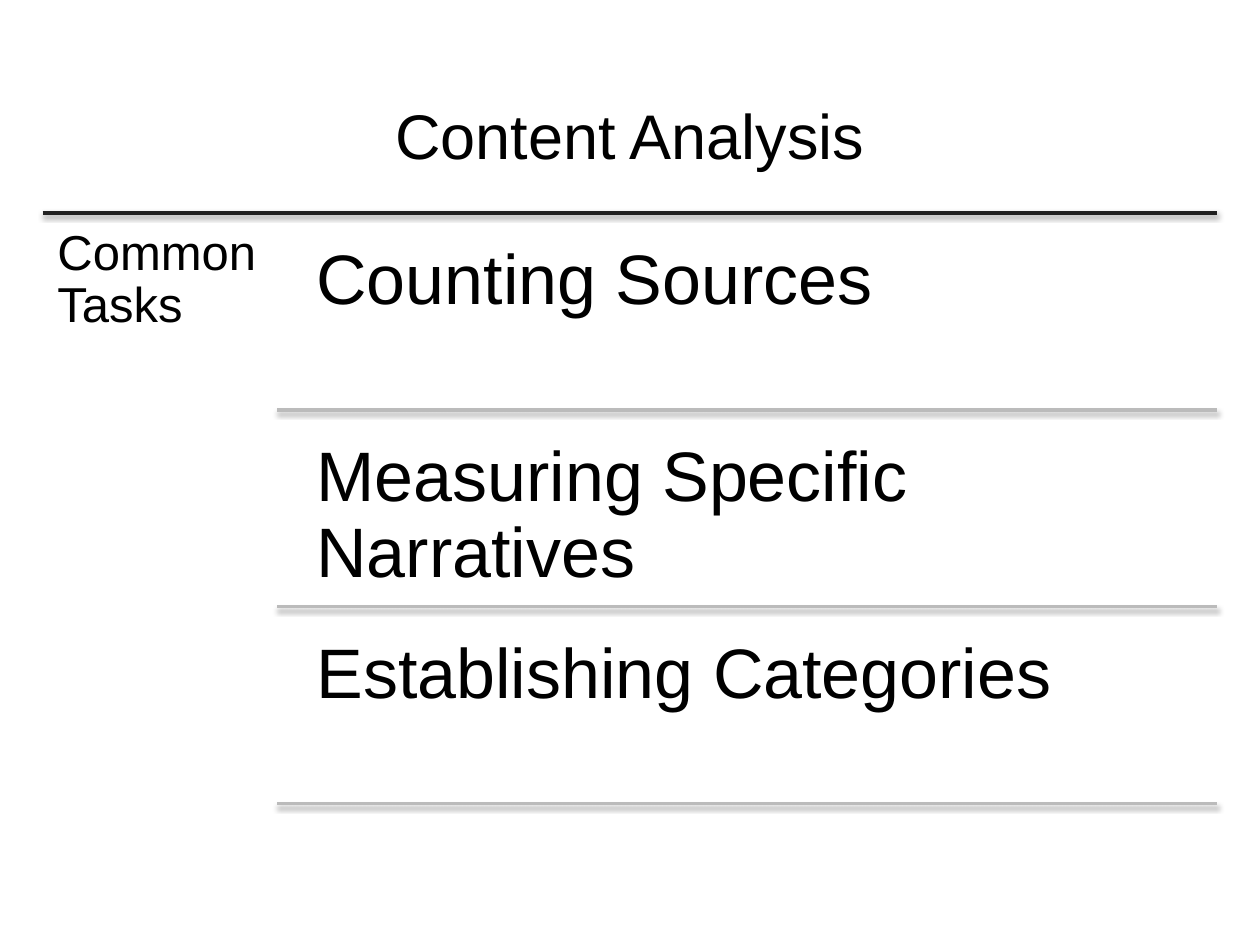
from lxml.etree import SubElement
from pptx import Presentation
from pptx.dml.color import RGBColor
from pptx.enum.shapes import MSO_CONNECTOR
from pptx.enum.text import MSO_ANCHOR, PP_ALIGN
from pptx.oxml.ns import qn
from pptx.util import Cm, Pt

HUES = {"text": "000000", "head": "212121", "rule": "BBBBBB", "shade": "000000"}
LEFT, RIGHT, TOP, STEP = 0.86, 24.54, 4.29, 3.97
SPLIT = 5.59
TASKS = ["Counting Sources", "Measuring Specific Narratives", "Establishing Categories"]

deck = Presentation()
deck.slide_width, deck.slide_height = Cm(25.4), Cm(19.05)
slide = deck.slides.add_slide(deck.slide_layouts[6])


def add_text(text, x, y, w, h, size, inset, lead=0.9):
    frame = slide.shapes.add_textbox(Cm(x), Cm(y), Cm(w), Cm(h)).text_frame
    frame.word_wrap = True
    frame.margin_left = frame.margin_right = Cm(inset)
    frame.margin_top = frame.margin_bottom = Cm(inset)
    para = frame.paragraphs[0]
    para.text = text
    para.line_spacing = lead
    para.font.name = "Arial"
    para.font.size = Pt(size)
    para.font.color.rgb = RGBColor.from_string(HUES["text"])
    return frame


def add_rule(x, y, hue):
    rule = slide.shapes.add_connector(MSO_CONNECTOR.STRAIGHT, Cm(x), Cm(y), Cm(RIGHT), Cm(y))
    rule.line.color.rgb = RGBColor.from_string(HUES[hue])
    rule.line.width = Pt(2)
    # Soft shadow straight below the line
    fx = SubElement(rule.element.spPr, qn("a:effectLst"))
    shade = SubElement(fx, qn("a:outerShdw"), blurRad=str(Pt(3.1)), dist=str(Pt(1.6)),
                       dir="5400000", rotWithShape="0")
    tint = SubElement(shade, qn("a:srgbClr"), val=HUES["shade"])
    SubElement(tint, qn("a:alpha"), val="37000")


# Title
title = add_text("Content Analysis", LEFT, 1.65, RIGHT - LEFT, 2.11, 36, 0.25, 1.0)
title.vertical_anchor = MSO_ANCHOR.MIDDLE
title.paragraphs[0].alignment = PP_ALIGN.CENTER

# Heading column
add_rule(LEFT, TOP, "head")
add_text("Common Tasks", LEFT, TOP, SPLIT - LEFT, 3 * STEP + 0.2, 28, 0.3)

# Task rows, each closed by a rule
for i, task in enumerate(TASKS):
    y = TOP + i * STEP
    add_text(task, 5.95, y + 0.2, 18.57, 3.78, 40, 0.43)
    add_rule(SPLIT, y + STEP, "rule")

deck.save("out.pptx")
